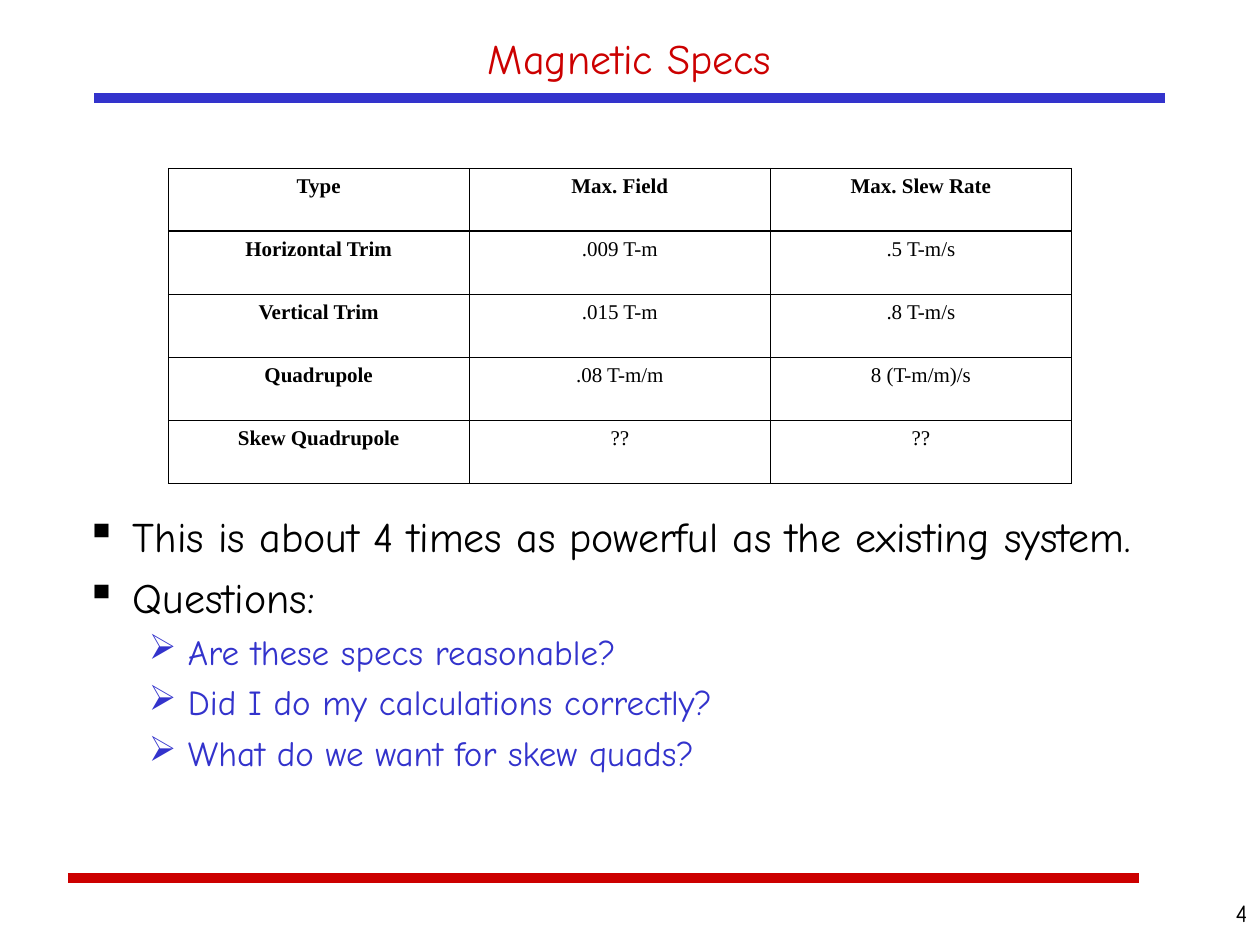
from lxml import etree
from pptx import Presentation
from pptx.dml.color import RGBColor
from pptx.enum.shapes import MSO_CONNECTOR
from pptx.enum.text import MSO_ANCHOR, PP_ALIGN
from pptx.oxml.ns import qn
from pptx.util import Cm, Pt

STRAIGHT = MSO_CONNECTOR.STRAIGHT
TOP, MIDDLE = MSO_ANCHOR.TOP, MSO_ANCHOR.MIDDLE
LEFT, CENTER, RIGHT = PP_ALIGN.LEFT, PP_ALIGN.CENTER, PP_ALIGN.RIGHT
RED, BLUE, BLACK = "CC0000", "3333CC", "000000"
SPECS = [
    ("Type", "Max. Field", "Max. Slew Rate"),
    ("Horizontal Trim", ".009 T-m", ".5 T-m/s"),
    ("Vertical Trim", ".015 T-m", ".8 T-m/s"),
    ("Quadrupole", ".08 T-m/m", "8 (T-m/m)/s"),
    ("Skew Quadrupole", "??", "??"),
]
LEVELS = [
    dict(size=24, color=BLACK, char="▪", indent=0.95, hang=0.95, before=6),
    dict(size=20, color=BLUE, char="➢", indent=2.06, hang=0.79, before=5),
]
POINTS = [
    (0, "This is about 4 times as powerful as the existing system."),
    (0, "Questions:"),
    (1, "Are these specs reasonable?"),
    (1, "Did I do my calculations correctly?"),
    (1, "What do we want for skew quads?"),
]


def rgb(value):
    return RGBColor.from_string(value)


class Deck:
    font = "Comic Neue"
    table_font = "Times New Roman"

    def __init__(self, prs):
        self.s = prs.slides.add_slide(prs.slide_layouts[6])

    def run(self, p, text, size, color, font=None, bold=False):
        r = p.add_run()
        r.text = text
        r.font.name = font or self.font
        r.font.size = Pt(size)
        r.font.bold = bold
        r.font.color.rgb = rgb(color)

    def rule(self, x, y, width, color):
        line = self.s.shapes.add_connector(STRAIGHT, Cm(x), Cm(y), Cm(x + width), Cm(y))
        line.line.color.rgb = rgb(color)
        line.line.width = Pt(6)
        etree.SubElement(line._element.spPr, qn("a:effectLst"))

    def box(self, x, y, w, h, anchor=TOP):
        tf = self.s.shapes.add_textbox(Cm(x), Cm(y), Cm(w), Cm(h)).text_frame
        tf.word_wrap = True
        tf.vertical_anchor = anchor
        return tf

    def text(self, x, y, w, h, text, size, color, align=LEFT, anchor=TOP):
        p = self.box(x, y, w, h, anchor).paragraphs[0]
        p.alignment = align
        self.run(p, text, size, color)

    def bullets(self, x, y, w, h, points):
        tf = self.box(x, y, w, h)
        for i, (level, text) in enumerate(points):
            style = LEVELS[level]
            p = tf.add_paragraph() if i else tf.paragraphs[0]
            p.level = level
            pPr = p._p.get_or_add_pPr()
            pPr.set("marL", str(Cm(style["indent"])))
            pPr.set("indent", str(-Cm(style["hang"])))
            etree.SubElement(pPr, qn("a:buChar"), char=style["char"])
            if i:
                p.space_before = Pt(style["before"])
            self.run(p, text, style["size"], style["color"])

    def border(self, cell, widths):
        tcPr = cell._tc.get_or_add_tcPr()
        for i, (side, width) in enumerate(zip("LRTB", widths)):
            ln = etree.Element(qn(f"a:ln{side}"), w=str(Pt(width)))
            fill = etree.SubElement(ln, qn("a:solidFill"))
            etree.SubElement(fill, qn("a:srgbClr"), val=BLACK)
            tcPr.insert(i, ln)

    def table(self, x, y, col_width, row_height, rows):
        n, m = len(rows), len(rows[0])
        tbl = self.s.shapes.add_table(
            n, m, Cm(x), Cm(y), Cm(col_width * m), Cm(row_height * n)).table
        tbl.first_row = tbl.horz_banding = False
        for col in tbl.columns:
            col.width = Cm(col_width)
        thin, thick = 0.45, 0.96
        for i, row in enumerate(rows):
            tbl.rows[i].height = Cm(row_height)
            for j, text in enumerate(row):
                cell = tbl.cell(i, j)
                cell.fill.background()
                top = thick if i == 1 else thin
                bottom = thick if i == 0 else thin
                self.border(cell, (thin, thin, top, bottom))
                p = cell.text_frame.paragraphs[0]
                p.alignment = CENTER
                self.run(p, text, 12, BLACK, self.table_font, i == 0 or j == 0)


def main():
    prs = Presentation()
    prs.slide_width, prs.slide_height = Cm(25.4), Cm(19.05)
    deck = Deck(prs)
    deck.rule(1.37, 17.7, 21.59, RED)
    deck.rule(1.9, 1.98, 21.59, BLUE)
    deck.text(1.9, 0.43, 21.59, 1.47, "Magnetic Specs", 24, RED, CENTER, MIDDLE)
    deck.bullets(1.48, 10.16, 21.59, 6.88, POINTS)
    deck.table(3.39, 3.39, 6.07, 1.27, SPECS)
    deck.text(23.06, 17.98, 2.34, 1.07, "4", 14, BLACK, RIGHT)
    prs.save("out.pptx")


if __name__ == "__main__":
    main()
